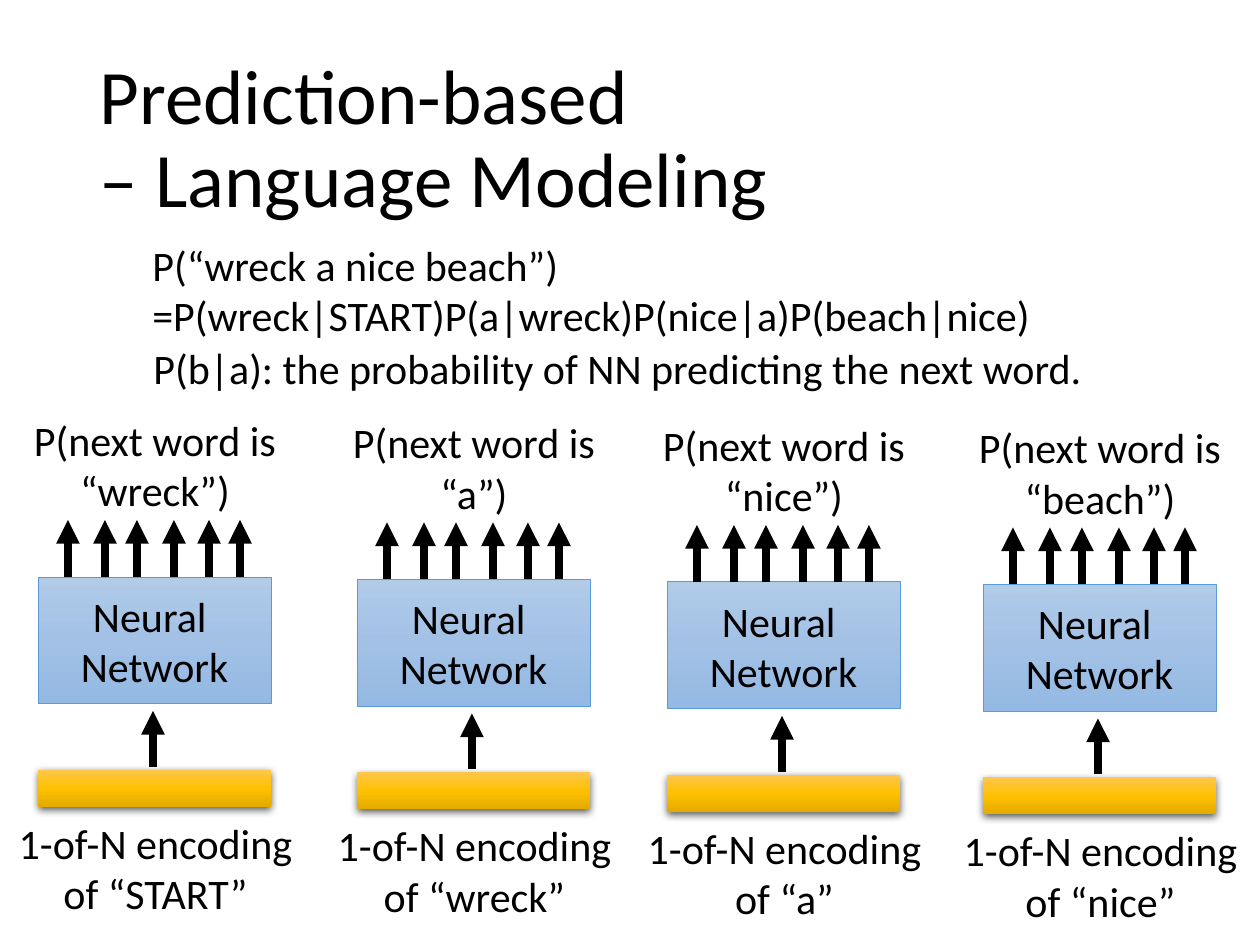
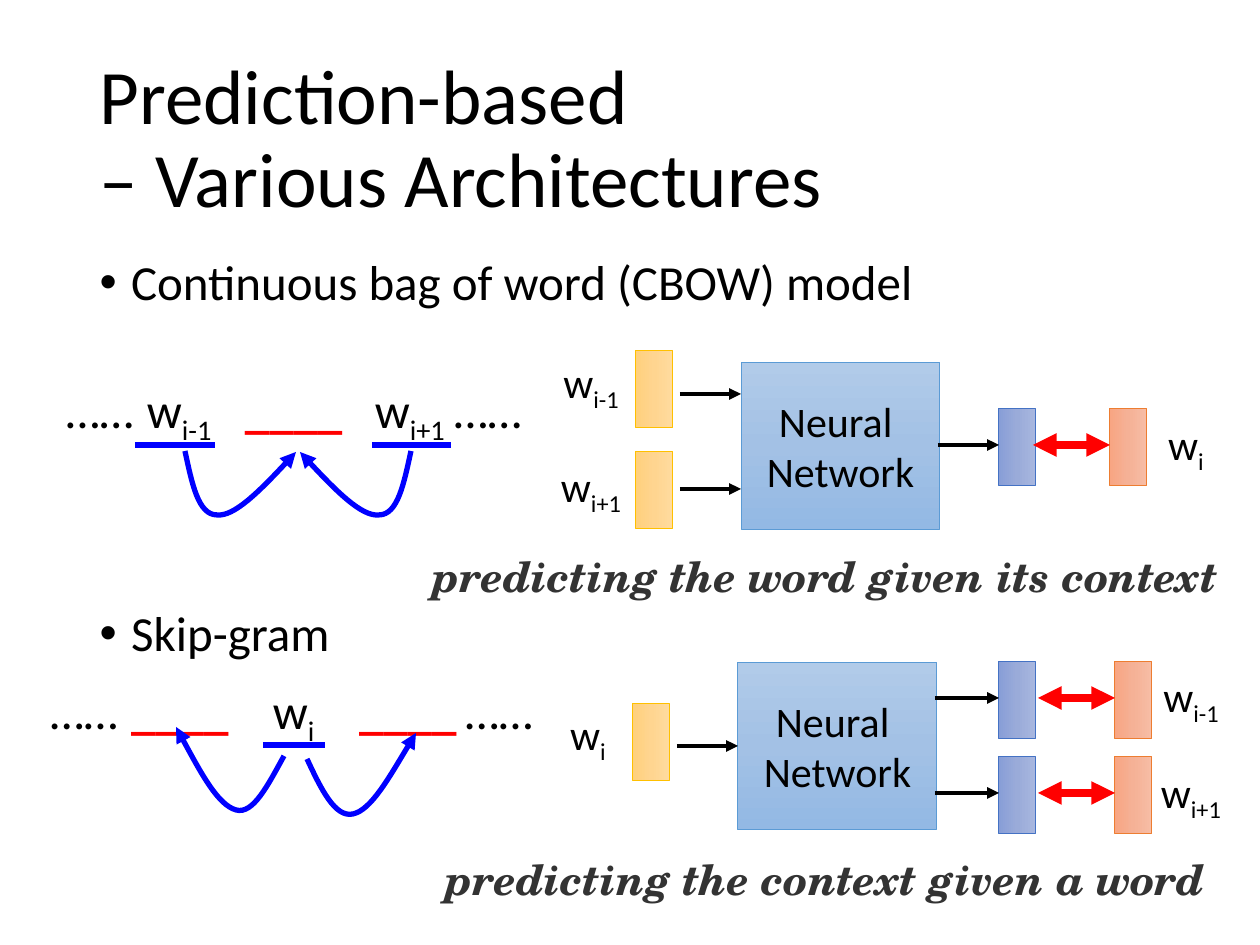
"""Builds two slides on prediction-based word vectors."""
from collections import namedtuple
from dataclasses import dataclass

from lxml.etree import SubElement
from pptx import Presentation
from pptx.dml.color import RGBColor
from pptx.enum.shapes import MSO_CONNECTOR as Connector, MSO_SHAPE as Preset
from pptx.enum.text import MSO_ANCHOR as Anchor, MSO_AUTO_SIZE as AutoSize, PP_ALIGN as Align
from pptx.oxml.ns import qn
from pptx.util import Emu, Pt

PX = 914400 / 126

Box = namedtuple("Box", "left top width height")
Row = namedtuple("Row", "word bar arrow label")
Tint = namedtuple("Tint", "stops line")


@dataclass(frozen=True)
class Theme:
    """Colours, fonts and type sizes of the deck."""
    font: str = "Calibri"
    caption_font: str = "TeX Gyre Schola"
    title: int = 44
    bullet: int = 28
    label: int = 24
    ink: str = "000000"
    caption: str = "333333"
    red: str = "FF0000"
    blue: str = "0000FF"
    network: Tint = Tint(("B1CBE9", "A3C1E5", "93B9E4"), "5B9BD5")
    encoding: Tint = Tint(("FFC64B", "FFC000", "E3AB00"), None)
    source: Tint = Tint(("FFDB9E", "FFD590", "FFD07C"), "FFC000")
    output: Tint = Tint(("A8B7DF", "9AABD9", "889ED7"), "4472C4")
    target: Tint = Tint(("F7BDA5", "F5B196", "F8A582"), "ED7D31")


THEME = Theme()
DOTS, BLANK = ("……", ""), ("____", "")
PREVIOUS, CURRENT, FOLLOWING = ("w", "i-1"), ("w", "i"), ("w", "i+1")


def px(length):
    """Turn pixels into EMU."""
    return Emu(round(length * PX))


def place(box):
    """Return a box as four EMU lengths."""
    return [px(length) for length in box]


def style(font, size, colour=THEME.ink, name=THEME.font):
    """Set size, colour and typeface of a font."""
    font.size, font.name = Pt(size), name
    font.color.rgb = RGBColor.from_string(colour)


def add_lines(frame, lines, align=Align.LEFT, size=THEME.label):
    """Write one paragraph for each line."""
    for index, line in enumerate(lines):
        paragraph = frame.add_paragraph() if index else frame.paragraphs[0]
        paragraph.text, paragraph.alignment = line, align
        style(paragraph.font, size)


def add_text(slide, box, lines, align=Align.LEFT):
    """Place a wrapping text box and return its frame."""
    frame = slide.shapes.add_textbox(*place(box)).text_frame
    frame.word_wrap = True
    add_lines(frame, lines, align)
    return frame


def add_word(paragraph, word, size, lead=""):
    """Append a word with its subscript to a paragraph."""
    base, subscript = word
    run = paragraph.add_run()
    run.text = lead + base
    style(run.font, size, THEME.red if word == BLANK else THEME.ink)
    run.font.bold = word == BLANK
    if subscript:
        run = paragraph.add_run()
        run.text = subscript
        style(run.font, size)
        run._r.get_or_add_rPr().set("baseline", "-25000")


def add_block(slide, box, tint):
    """Place a rectangle with a three-stop gradient."""
    block = slide.shapes.add_shape(Preset.RECTANGLE, *place(box))
    block.shadow.inherit = False
    block.fill.gradient()
    block.fill.gradient_angle = 270
    stops = next(block._element.spPr.iter(qn("a:gsLst")))
    for stop in list(stops):
        stops.remove(stop)
    for position, colour in zip((0, 50000, 100000), tint.stops):
        stop = SubElement(stops, qn("a:gs"), pos=str(position))
        SubElement(stop, qn("a:srgbClr"), val=colour)
    if tint.line:
        block.line.color.rgb = RGBColor.from_string(tint.line)
        block.line.width = Pt(0.5)
    else:
        block.line.fill.background()
    return block


def add_network(slide, box):
    """Place the neural network block."""
    frame = add_block(slide, box, THEME.network).text_frame
    frame.vertical_anchor = Anchor.MIDDLE
    add_lines(frame, ("Neural ", "Network"), Align.CENTER)


def add_bar(slide, x, y, tint):
    """Place an upright vector bar around a centre point."""
    add_block(slide, Box(x - 39, y - 18.5, 78, 37), tint).rotation = 90


def style_stroke(shape, colour, width, ends):
    """Colour a line and give it arrowheads."""
    shape.line.color.rgb = RGBColor.from_string(colour)
    shape.line.width = Pt(width)
    stroke = shape._element.spPr.find(qn("a:ln"))
    for end in ends:
        SubElement(stroke, qn(f"a:{end}End"), type="triangle")


def add_line(slide, start, end, colour=THEME.ink, width=4.5, ends=("tail",)):
    """Draw a straight line or arrow."""
    line = slide.shapes.add_connector(
        Connector.STRAIGHT, *(px(length) for length in (*start, *end)))
    style_stroke(line, colour, width, ends)
    SubElement(line._element.spPr, qn("a:effectLst"))


def add_curve(slide, points):
    """Draw a blue curved arrow through Bezier points."""
    start, *rest = [(px(x), px(y)) for x, y in points]
    builder = slide.shapes.build_freeform(*start, scale=1.0)
    builder.add_line_segments(rest, close=False)
    curve = builder.convert_to_shape()
    curve.shadow.inherit = False
    curve.fill.background()
    style_stroke(curve, THEME.blue, 3, ("tail",))
    outline = next(curve._element.spPr.iter(qn("a:path")))
    segments = outline.findall(qn("a:lnTo"))
    for first in range(0, len(segments), 3):
        bezier = SubElement(outline, qn("a:cubicBezTo"))
        for segment in segments[first:first + 3]:
            bezier.append(segment[0])
            outline.remove(segment)


def add_slide(deck, layout, topic):
    """Add a slide with the shared two-line title."""
    slide = deck.slides.add_slide(deck.slide_layouts[layout])
    title = slide.shapes.title
    title.left, title.top, title.width, title.height = place(Box(87, 50, 1086, 183))
    title.text_frame.auto_size = AutoSize.NONE
    title.text_frame.vertical_anchor = Anchor.MIDDLE
    add_lines(title.text_frame, (f"Prediction-based\v– {topic}",), size=THEME.title)
    title.text_frame.paragraphs[0].line_spacing = 0.9
    return slide


def add_prediction(slide, box, given, predicted):
    """Draw one network that predicts the next word."""
    left, top = box.left, box.top
    add_text(slide, Box(left, top, box.width, 115),
             (f"P(next word is “{predicted}”)",), Align.CENTER)
    add_network(slide, Box(left + 41, top + 169, 233, 127))
    for x in (71, 108, 140, 177, 212, 243):
        add_line(slide, (left + x, top + 169), (left + x, top + 112))
    add_line(slide, (left + 156, top + 359), (left + 156, top + 303))
    encoding = add_block(slide, Box(left + 41, top + 362, 233, 37), THEME.encoding)
    shadow = SubElement(encoding._element.spPr.find(qn("a:effectLst")), qn("a:outerShdw"),
                        blurRad="57150", dist="19050", dir="5400000",
                        algn="ctr", rotWithShape="0")
    shade = SubElement(shadow, qn("a:srgbClr"), val=THEME.ink)
    SubElement(shade, qn("a:alpha"), val="63000")
    add_text(slide, Box(left + 6, top + 403, 305, 115),
             (f"1-of-N encoding of “{given}”",), Align.CENTER)


def add_sentence(slide, box, words, stops, underlines, curves):
    """Draw a sentence with blanks, underlined words and curved arrows."""
    frame = slide.shapes.add_textbox(*place(box)).text_frame
    frame.word_wrap, frame.margin_left, frame.margin_right = True, 0, 0
    paragraph = frame.paragraphs[0]
    tabs = SubElement(paragraph._p.get_or_add_pPr(), qn("a:tabLst"))
    for stop in stops:
        SubElement(tabs, qn("a:tab"), pos=str(px(stop)), algn="l")
    for index, word in enumerate(words):
        add_word(paragraph, word, THEME.bullet, "\t" if index else "")
    for start, end in underlines:
        add_line(slide, (box.left + start, box.top + box.height),
                 (box.left + end, box.top + box.height), THEME.blue, 3, ())
    for points in curves:
        add_curve(slide, [(box.left + x, box.top + y) for x, y in points])


def add_word_label(slide, left, top, word):
    """Place a centred word beside a vector bar."""
    paragraph = add_text(slide, Box(left, top, 98, 63), ("",), Align.CENTER).paragraphs[0]
    add_word(paragraph, word, THEME.label)


def add_architecture(slide, box, inputs, outputs, output_x, target_x):
    """Draw a network with its input, output and target vectors."""
    left, top, width, _ = box
    add_network(slide, box)
    for row in inputs:
        add_bar(slide, left - 87, top + row.bar, THEME.source)
        add_line(slide, (left - 61, top + row.arrow), (left, top + row.arrow), width=2.25)
        add_word_label(slide, left - 199, top + row.label, row.word)
    for row in outputs:
        y = top + row.arrow
        add_bar(slide, left + output_x, top + row.bar, THEME.output)
        add_bar(slide, left + target_x, top + row.bar, THEME.target)
        add_line(slide, (left + width - 2, y), (left + output_x - 18, y), width=2.25)
        add_line(slide, (left + target_x - 95, y), (left + target_x - 18, y),
                 THEME.red, ends=("head", "tail"))
        add_word_label(slide, left + target_x + 9, top + row.label, row.word)


def add_caption(slide, box, words):
    """Place an italic summary line."""
    frame = add_text(slide, box, (words,))
    frame.word_wrap = False
    font = frame.paragraphs[0].font
    style(font, THEME.label, THEME.caption, THEME.caption_font)
    font.bold = font.italic = True


def add_models(slide, box, names):
    """List the two model names in the body placeholder."""
    body = slide.placeholders[1]
    body.left, body.top, body.width, body.height = place(box)
    body.text_frame.auto_size = AutoSize.NONE
    add_lines(body.text_frame, names, size=THEME.bullet)
    for paragraph, gap in zip(body.text_frame.paragraphs, (10, 170)):
        paragraph.line_spacing, paragraph.space_before = 0.9, Pt(gap)
        properties = paragraph._p.get_or_add_pPr()
        properties.set("marL", str(px(31.5)))
        properties.set("indent", str(px(-31.5)))


def build_language_modeling(deck):
    """Build the slide on language modeling."""
    slide = add_slide(deck, 5, "Language Modeling")
    add_text(slide, Box(140, 233, 921, 115),
             ("P(“wreck a nice beach”)", "=P(wreck|START)P(a|wreck)P(nice|a)P(beach|nice)"))
    add_text(slide, Box(141, 336, 988, 63),
             ("P(b|a): the probability of NN predicting the next word.",))
    words = ("START", "wreck", "a", "nice", "beach")
    for index, left in enumerate((-3, 316, 626, 942)):
        add_prediction(slide, Box(left, 408 + 2.5 * index, 316, 518),
                       words[index], words[index + 1])


def build_architectures(deck):
    """Build the slide on CBOW and skip-gram."""
    slide = add_slide(deck, 1, "Various Architectures")
    add_models(slide, Box(87, 252, 1086, 600),
               ("Continuous bag of word (CBOW) model", "Skip-gram"))

    inward = [(119, 78), (126, 110), (132, 142), (151, 142), (168, 144), (200, 112), (230, 79)]
    add_sentence(slide, Box(66, 373, 480, 72), (DOTS, PREVIOUS, BLANK, FOLLOWING, DOTS),
                 (81, 179, 309, 388), ((69, 149), (306, 385)),
                 (inward, [(464 - x, y) for x, y in inward]))
    add_architecture(slide, Box(741, 362, 199, 167),
                     (Row(PREVIOUS, 27, 32, -12), Row(FOLLOWING, 128, 127, 92)),
                     (Row(CURRENT, 85, 83, 50),), 276, 387)
    add_caption(slide, Box(420, 544, 837, 63), "predicting the word given its context")

    to_previous = [(234, 82), (218, 111), (203, 141), (186, 136),
                   (168, 131), (147, 92), (126, 53)]
    to_following = [(257, 85), (271, 115), (285, 144), (303, 140),
                    (321, 136), (343, 97), (366, 59)]
    add_sentence(slide, Box(50, 674, 500, 71), (DOTS, BLANK, CURRENT, BLANK, DOTS),
                 (81, 223, 309, 415), ((213, 275),), (to_previous, to_following))
    add_architecture(slide, Box(738, 662, 199, 167), (Row(CURRENT, 80, 84, 40),),
                     (Row(PREVIOUS, 38, 36, 2), Row(FOLLOWING, 133, 131, 98)), 279, 395)
    add_caption(slide, Box(433, 847, 810, 63), "predicting the context given a word")


deck = Presentation()
deck.slide_width, deck.slide_height = px(1260), px(945)
build_language_modeling(deck)
build_architectures(deck)
deck.save("out.pptx")
